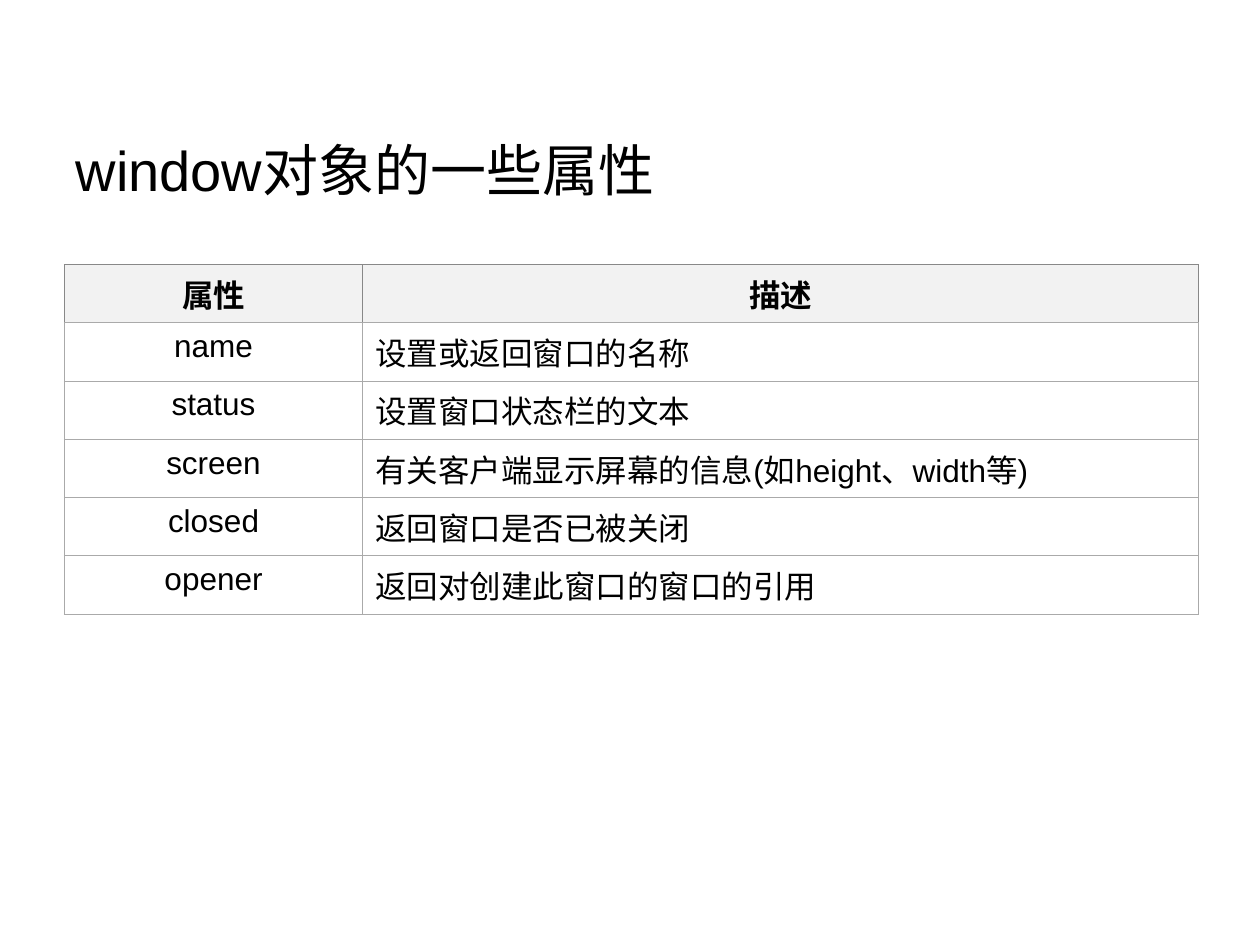
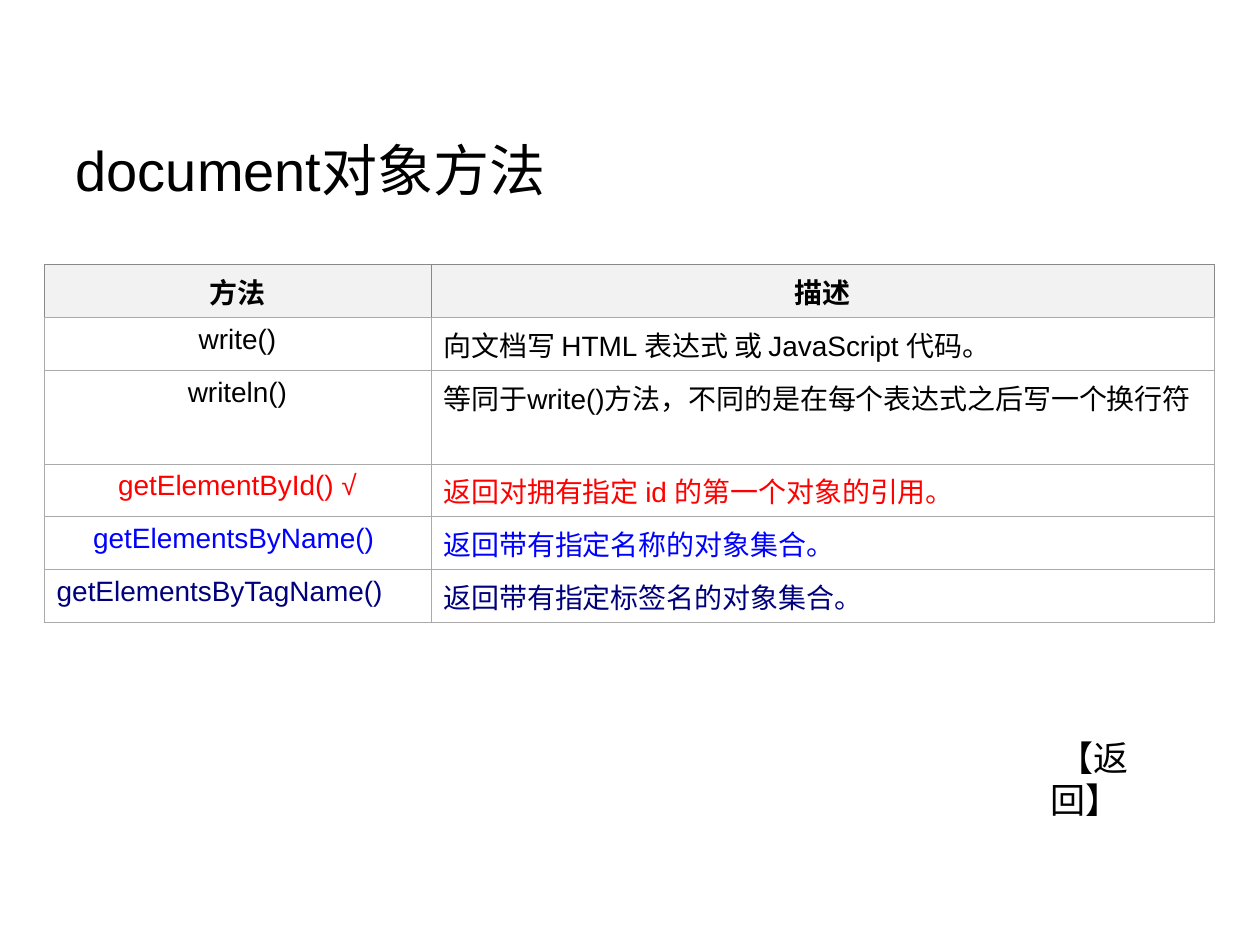
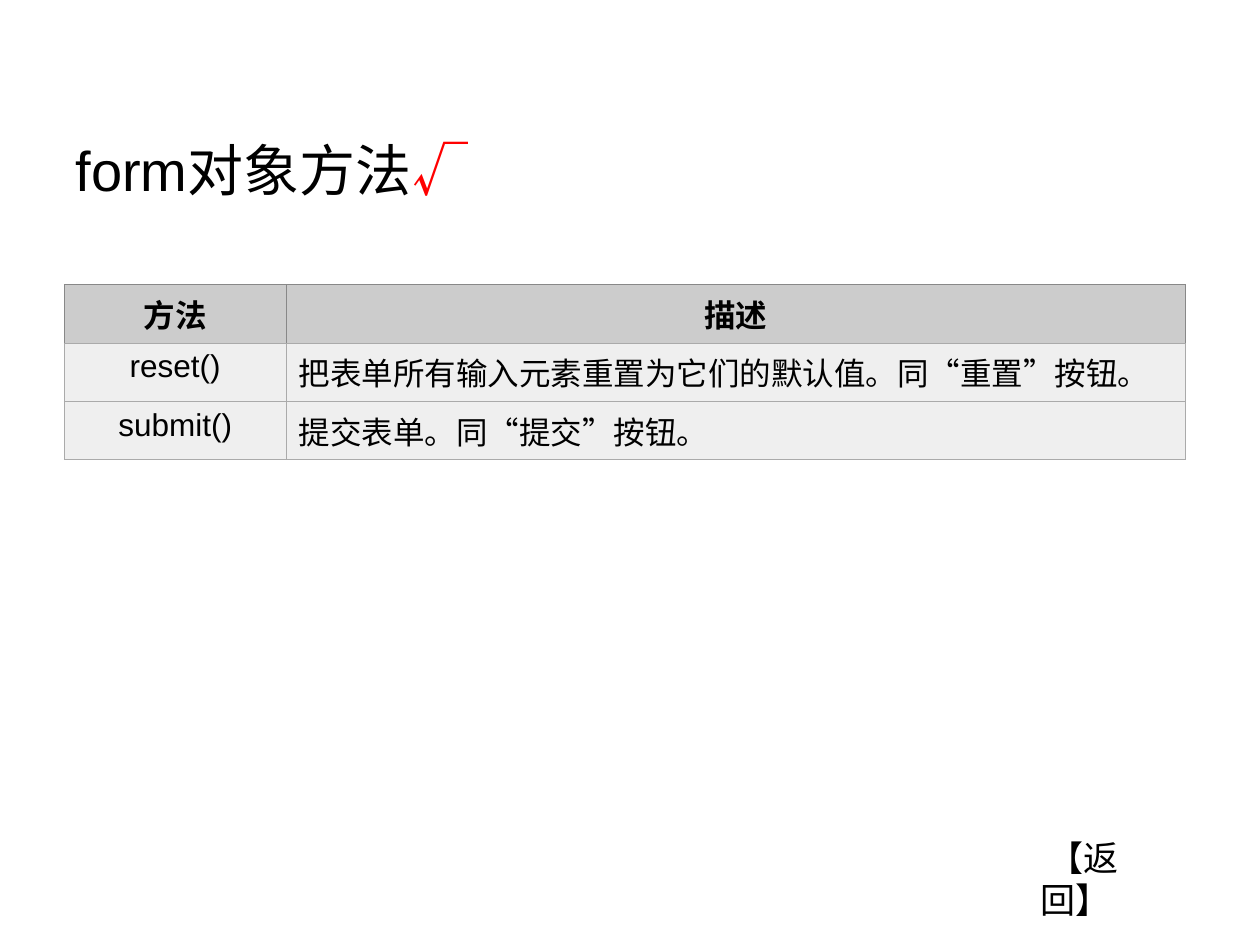
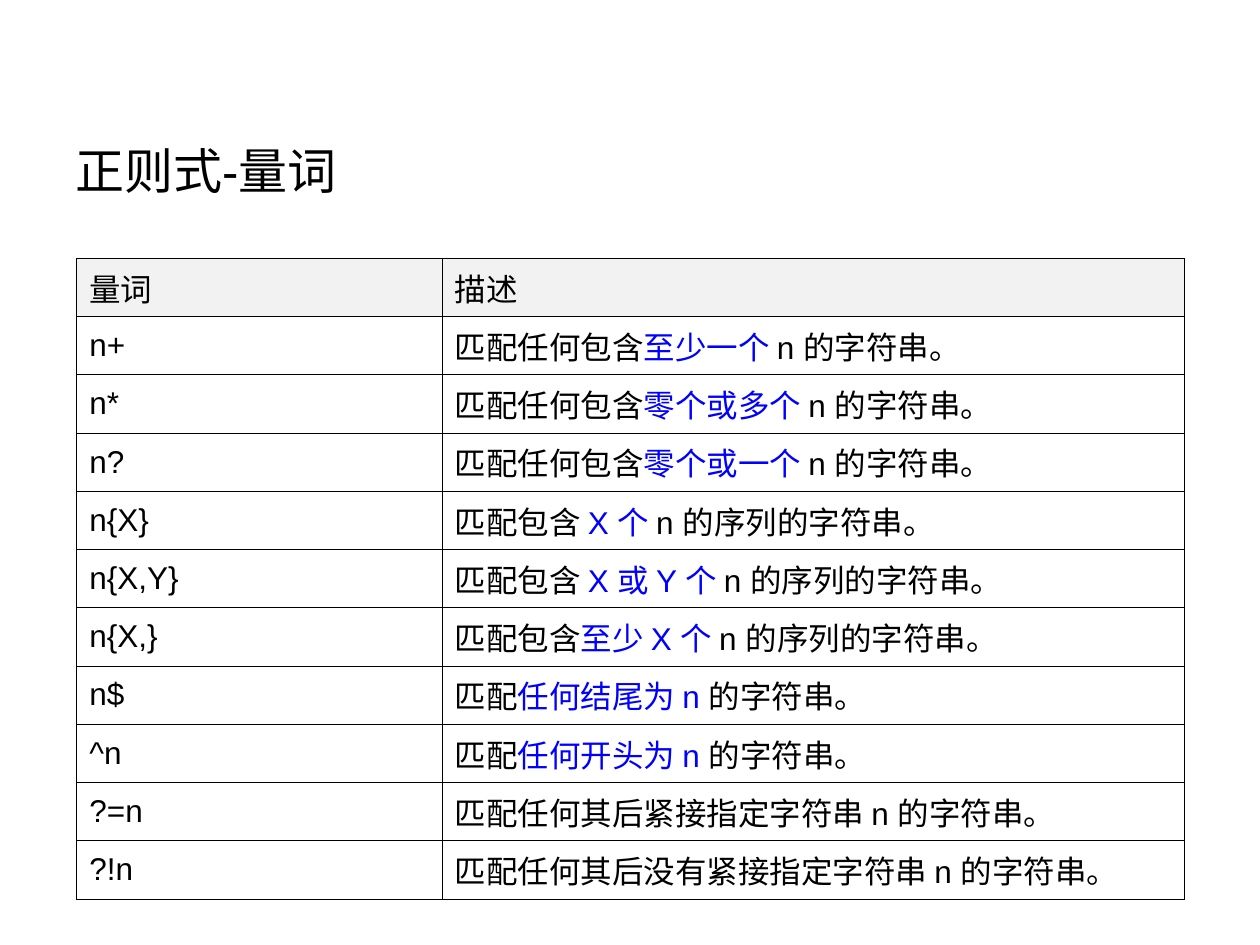
from dataclasses import dataclass

from pptx import Presentation
from pptx.dml.color import RGBColor
from pptx.enum.text import MSO_ANCHOR, PP_ALIGN
from pptx.oxml.ns import qn
from pptx.util import Emu, Inches, Pt
from lxml.etree import SubElement

# Shared look
BLACK = RGBColor(0x00, 0x00, 0x00)
WHITE = RGBColor(0xFF, 0xFF, 0xFF)
RED = RGBColor(0xFF, 0x00, 0x00)
BLUE = RGBColor(0x00, 0x00, 0xFF)
NAVY = RGBColor(0x00, 0x00, 0x7D)
PALE_GREY = RGBColor(0xF2, 0xF2, 0xF2)
LIGHT_GREY = RGBColor(0xEF, 0xEF, 0xEF)
MID_GREY = RGBColor(0xCC, 0xCC, 0xCC)
RULE_GREY = RGBColor(0xAA, 0xAA, 0xAA)
HEAD_RULE_GREY = RGBColor(0x88, 0x88, 0x88)

LATIN_FONT, CJK_FONT = "Arial", "Noto Sans CJK SC"
SLIDE_WIDTH, SLIDE_HEIGHT = Inches(10), Inches(7.5)
TITLE_BOX = (5, 13.2, 90, 9.47)  # percent of the slide
RULE_WIDTH = Pt(0.45)
HANGING = Inches(0.38)
TITLE_ONLY = 5


@dataclass
class TableLook:
    """Format of one table; lengths are percent of the slide."""
    box: tuple  # left, top, width
    first_column: float  # percent of the table's width
    row_height: float
    size: int = 18
    head_fill: RGBColor = PALE_GREY
    body_fill: RGBColor = WHITE
    rule: RGBColor = RULE_GREY
    head_rule: RGBColor = HEAD_RULE_GREY
    centred: bool = True  # bold centred head, centred first column, hanging text


def across(percent):
    return Emu(round(SLIDE_WIDTH * percent / 100))


def down(percent):
    return Emu(round(SLIDE_HEIGHT * percent / 100))


def write(paragraph, parts, size, bold=False):
    """Write plain text, or a list of (text, colour) or (text, colour, font)."""
    if isinstance(parts, str):
        parts = [(parts, BLACK)]
    for text, colour, *font in parts:
        run = paragraph.add_run()
        run.text = text
        face = font[0] if font else LATIN_FONT
        for name, value in {"size": Pt(size), "bold": bold, "name": face}.items():
            setattr(run.font, name, value)
        run.font.color.rgb = colour
        SubElement(run.font._element, qn("a:ea"), typeface=CJK_FONT)


def draw_borders(cell, colours):
    properties = cell._tc.get_or_add_tcPr()
    for position, (side, colour) in enumerate(colours.items()):
        line = SubElement(properties, qn(f"a:ln{side}"), w=str(RULE_WIDTH))
        properties.insert(position, line)
        fill = SubElement(line, qn("a:solidFill"))
        SubElement(fill, qn("a:srgbClr"), val=str(colour))


def add_titled_slide(deck, title_parts, size=32):
    slide = deck.slides.add_slide(deck.slide_layouts[TITLE_ONLY])
    title = slide.shapes.title
    left, top, width, height = TITLE_BOX
    for name, value in {"left": across(left), "top": down(top),
                        "width": across(width), "height": down(height)}.items():
        setattr(title, name, value)
    title.text_frame.vertical_anchor = MSO_ANCHOR.MIDDLE
    heading = title.text_frame.paragraphs[0]
    heading.alignment = PP_ALIGN.LEFT
    write(heading, title_parts, size)
    return slide


def fill_cell(cell, parts, look, is_head, is_centred, is_hanging):
    fill_colour = look.head_fill if is_head else look.body_fill
    cell.fill.solid()
    cell.fill.fore_color.rgb = fill_colour
    in_middle = is_head or not look.centred
    cell.vertical_anchor = MSO_ANCHOR.MIDDLE if in_middle else MSO_ANCHOR.TOP
    outer = look.head_rule if is_head else look.rule
    draw_borders(cell, {"L": outer, "R": outer, "T": outer, "B": look.rule})

    paragraph = cell.text_frame.paragraphs[0]
    paragraph.alignment = PP_ALIGN.CENTER if is_centred else PP_ALIGN.LEFT
    if is_hanging:
        properties = paragraph._p.get_or_add_pPr()
        properties.set("marL", str(HANGING))
        properties.set("indent", str(-HANGING))
    write(paragraph, parts, look.size, bold=is_head and look.centred)


def add_reference_table(slide, rows, look, tall_rows=None, left_rows=()):
    """Two-column table; tall_rows maps a row to its own height."""
    left, top, width = look.box
    heights = [(tall_rows or {}).get(i, look.row_height) for i in range(len(rows))]
    table = slide.shapes.add_table(len(rows), 2, across(left), down(top),
                                   across(width), down(sum(heights))).table
    table.first_row = table.horz_banding = False
    for column, share in zip(table.columns, (look.first_column, 100 - look.first_column)):
        column.width = across(width * share / 100)
    for r, (row, height) in enumerate(zip(rows, heights)):
        table.rows[r].height = down(height)
        for c, parts in enumerate(row):
            is_head = r == 0
            is_centred = look.centred and (is_head or c == 0) and r not in left_rows
            fill_cell(table.cell(r, c), parts, look, is_head, is_centred, look.centred)


def add_return_label(slide, left, top):
    label = slide.shapes.add_textbox(across(left), down(top), across(13.7), down(5.87))
    label.text_frame.word_wrap = False
    write(label.text_frame.paragraphs[0], " 【返回】", 20)


def add_window_slide(deck):
    slide = add_titled_slide(deck, "window对象的一些属性")
    properties = [
        ("属性", "描述"),
        ("name", "设置或返回窗口的名称"),
        ("status", "设置窗口状态栏的文本"),
        ("screen", "有关客户端显示屏幕的信息(如height、width等)"),
        ("closed", "返回窗口是否已被关闭"),
        ("opener", "返回对创建此窗口的窗口的引用"),
    ]
    add_reference_table(slide, properties, TableLook((5.1, 28, 90), 26.33, 5.87))


def add_document_slide(deck):
    slide = add_titled_slide(deck, "document对象方法")
    methods = [
        ("方法", "描述"),
        ("write()", "向文档写 HTML 表达式 或 JavaScript 代码。"),
        ("writeln()", "等同于write()方法，不同的是在每个表达式之后写一个换行符"),
    ]
    lookups = [
        ("getElementById() √", "返回对拥有指定 id 的第一个对象的引用。", RED),
        ("getElementsByName() ", "返回带有指定名称的对象集合。", BLUE),
        ("getElementsByTagName()", "返回带有指定标签名的对象集合。", NAVY),
    ]
    methods += [([(method, colour)], [(meaning, colour)])
                for method, meaning, colour in lookups]
    look = TableLook((3.5, 28, 92.9), 33.05, 4.93, size=16)
    add_reference_table(slide, methods, look, tall_rows={2: 8.4}, left_rows=(5,))
    add_return_label(slide, 82.4, 77.33)


def add_form_slide(deck):
    slide = add_titled_slide(deck, [("form对象方法", BLACK), ("√", RED, CJK_FONT)])
    methods = [
        ("方法", "描述"),
        ("reset()", "把表单所有输入元素重置为它们的默认值。同“重置”按钮。"),
        ("submit()", "提交表单。同“提交”按钮。"),
    ]
    look = TableLook((5.1, 30.13, 89), 19.8, 5.33,
                     head_fill=MID_GREY, body_fill=LIGHT_GREY)
    add_reference_table(slide, methods, look)
    add_return_label(slide, 81.6, 87.87)


def add_quantifier_slide(deck):
    slide = add_titled_slide(deck, "正则式-量词", size=28)
    # Pattern, opening words, stressed words, closing words
    stressed = [
        ("n+", "匹配任何包含", "至少一个 ", "n 的字符串。"),
        ("n*", "匹配任何包含", "零个或多个 ", "n 的字符串。"),
        ("n?", "匹配任何包含", "零个或一个 ", "n 的字符串。"),
        ("n{X}", "匹配包含 ", "X 个 ", "n 的序列的字符串。"),
        ("n{X,Y}", "匹配包含 ", "X 或 Y 个 ", "n 的序列的字符串。"),
        ("n{X,}", "匹配包含", "至少 X 个 ", "n 的序列的字符串。"),
        ("n$", "匹配", "任何结尾为 n ", "的字符串。"),
        ("^n", "匹配", "任何开头为 n ", "的字符串。"),
    ]
    quantifiers = [
        ("量词", "描述"),
        *((pattern, list(zip(words, (BLACK, BLUE, BLACK)))) for pattern, *words in stressed),
        ("?=n", "匹配任何其后紧接指定字符串 n 的字符串。"),
        ("?!n", "匹配任何其后没有紧接指定字符串 n 的字符串。"),
    ]
    look = TableLook((6.1, 27.33, 87.9), 33, 5.3, rule=BLACK,
                     head_rule=BLACK, centred=False)
    add_reference_table(slide, quantifiers, look)


def main():
    deck = Presentation()
    deck.slide_width, deck.slide_height = SLIDE_WIDTH, SLIDE_HEIGHT
    for add_slide in (add_window_slide, add_document_slide,
                      add_form_slide, add_quantifier_slide):
        add_slide(deck)
    deck.save("out.pptx")


if __name__ == "__main__":
    main()
